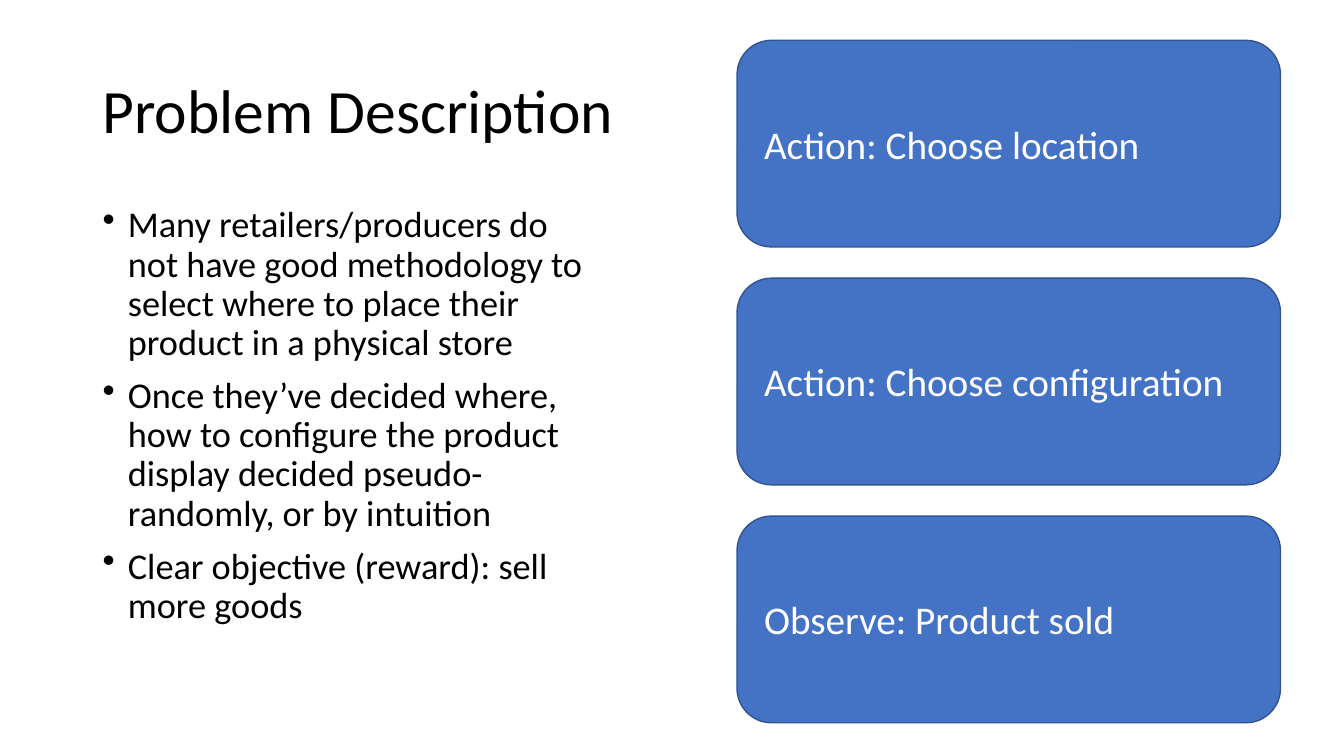
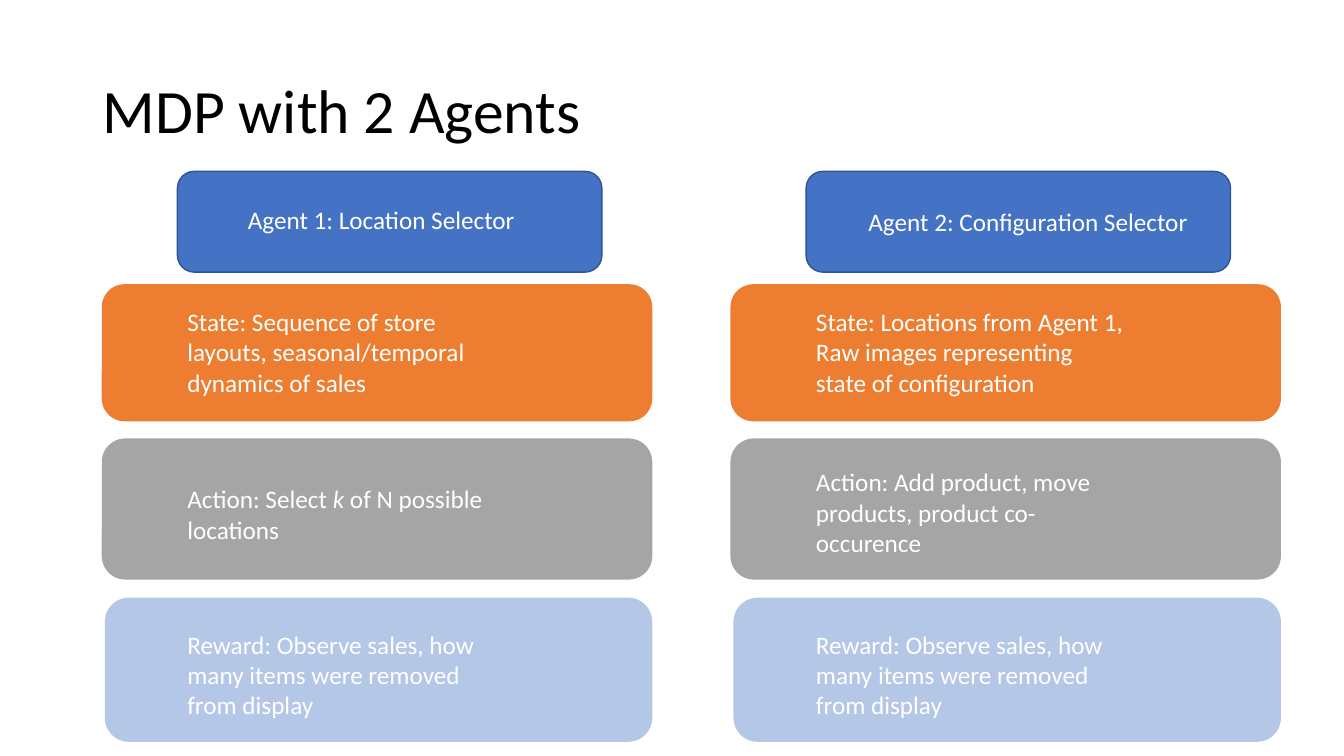
import dataclasses

import pptx
import pptx.dml.color
import pptx.enum.shapes
import pptx.enum.text
import pptx.oxml
import pptx.oxml.ns
import pptx.util

Inches = pptx.util.Inches
Pt = pptx.util.Pt


@dataclasses.dataclass(frozen=True)
class Theme:
    font: str = "Calibri"
    ink: str = "000000"
    white: str = "FFFFFF"
    blue: str = "4472C4"
    blue_edge: str = "325491"
    orange: str = "ED7D31"
    gray: str = "A5A5A5"
    pale_blue: str = "B4C7E7"
    title_size: float = 44
    step_size: float = 28
    bullet_size: float = 25.9
    agent_size: float = 18


THEME = Theme()
WIDTH, HEIGHT = 13.33, 7.5
MARGIN = 0.92

PROBLEM_TITLE = "Problem Description"
PROBLEM_POINTS = [
    "Many retailers/producers do not have good methodology to select where to "
    "place their product in a physical store",
    "Once they’ve decided where, how to configure the product display decided "
    "pseudo-randomly, or by intuition",
    "Clear objective (reward): sell more goods",
]
STEPS = ["Action: Choose location", "Action: Choose configuration", "Observe: Product sold"]

AGENTS_TITLE = "MDP with 2 Agents"
REWARD = "Reward: Observe sales, how many items were removed from display"
# A text in a tuple alternates upright and italic runs.
# Each part has its text and the top of that text.
AGENTS = [
    {
        "name": "Agent 1: Location Selector",
        "name_box": (1.35, 1.98, 3.27),
        "parts": [
            ("State: Sequence of store layouts, seasonal/temporal dynamics of sales", 2.99),
            (("Action: Select ", "k ", "of N possible locations"), 4.75),
            (REWARD, 6.19),
        ],
    },
    {
        "name": "Agent 2: Configuration Selector",
        "name_box": (1.27, 2.0, 3.57),
        "parts": [
            ("State: Locations from Agent 1, Raw images representing state of configuration", 2.99),
            ("Action: Add product, move products, product co-occurence", 4.58),
            (REWARD, 6.19),
        ],
    },
]
# Rows shared by both agents: indent, top, height, fill
PART_ROWS = [
    (0, 2.82, 1.36, THEME.orange),
    (0, 4.35, 1.40, THEME.gray),
    (0.03, 5.93, 1.43, THEME.pale_blue),
]
AGENT_LEFT, AGENT_PITCH, AGENT_WIDTH = 1.01, 6.235, 5.46
TEXT_INDENT, PART_TEXT_WIDTH = 0.75, 3.27


def rgb(code):
    return pptx.dml.color.RGBColor.from_string(code)


def add_bullet(paragraph):
    """Give the paragraph a round bullet with a hanging indent."""
    properties = paragraph._p.get_or_add_pPr()
    indent = Inches(0.25)
    properties.set("marL", str(indent))
    properties.set("indent", str(-indent))
    bullet = pptx.oxml.parse_xml(
        f'<a:buChar {pptx.oxml.ns.nsdecls("a")} char="•"/>'
    )
    properties.append(bullet)


def add_text(slide, paragraphs, left, top, width, height, *, size,
             color=THEME.white, middle=False, bullets=False,
             line_spacing=None, space_before=0):
    box = slide.shapes.add_textbox(*map(Inches, (left, top, width, height)))
    frame = box.text_frame
    frame.word_wrap = True
    anchors = pptx.enum.text.MSO_ANCHOR
    frame.vertical_anchor = anchors.MIDDLE if middle else anchors.TOP
    for index, content in enumerate(paragraphs):
        paragraph = frame.add_paragraph() if index else frame.paragraphs[0]
        if bullets:
            add_bullet(paragraph)
        if line_spacing:
            paragraph.line_spacing = line_spacing
        if index and space_before:
            paragraph.space_before = Pt(space_before)
        pieces = (content,) if isinstance(content, str) else content
        for position, piece in enumerate(pieces):
            run = paragraph.add_run()
            run.text = piece
            run.font.name = THEME.font
            run.font.size = Pt(size)
            run.font.color.rgb = rgb(color)
            if position % 2:
                run.font.italic = True


def add_card(slide, left, top, width, height, fill, edge=None):
    card = slide.shapes.add_shape(
        pptx.enum.shapes.MSO_SHAPE.ROUNDED_RECTANGLE,
        *map(Inches, (left, top, width, height)),
    )
    card.shadow.inherit = False
    card.fill.solid()
    card.fill.fore_color.rgb = rgb(fill)
    if edge:
        card.line.color.rgb = rgb(edge)
        card.line.width = Pt(1)
    else:
        card.line.fill.background()


def add_titled_slide(deck, title):
    slide = deck.slides.add_slide(deck.slide_layouts[6])
    add_text(slide, [title], MARGIN, 0.4, WIDTH - 2 * MARGIN, 1.45,
             size=THEME.title_size, color=THEME.ink, middle=True, line_spacing=0.9)
    return slide


def build_problem(deck):
    slide = add_titled_slide(deck, PROBLEM_TITLE)
    add_text(slide, PROBLEM_POINTS, MARGIN, 2, 5.06, 4.76,
             size=THEME.bullet_size, color=THEME.ink, bullets=True,
             line_spacing=0.9, space_before=10)
    left, first_top, width, height, gap = 7.31, 0.4, 5.39, 2.05, 0.31
    label_inset, label_height = 0.17, 0.57
    for row, step in enumerate(STEPS):
        top = first_top + row * (height + gap)
        add_card(slide, left, top, width, height, THEME.blue, THEME.blue_edge)
        add_text(slide, [step], left + label_inset, top + (height - label_height) / 2,
                 width - label_inset, label_height, size=THEME.step_size)


def build_agents(deck):
    slide = add_titled_slide(deck, AGENTS_TITLE)
    for column, agent in enumerate(AGENTS):
        left = AGENT_LEFT + column * AGENT_PITCH
        text_left = left + TEXT_INDENT
        add_card(slide, text_left, 1.7, 4.21, 1, THEME.blue, THEME.blue_edge)
        name_indent, name_top, name_width = agent["name_box"]
        add_text(slide, [agent["name"]], left + name_indent, name_top,
                 name_width, 0.4, size=THEME.agent_size)
        for (text, text_top), (indent, top, height, fill) in zip(agent["parts"], PART_ROWS):
            add_card(slide, left + indent, top, AGENT_WIDTH - indent, height, fill)
            add_text(slide, [text], text_left, text_top, PART_TEXT_WIDTH, 1.01,
                     size=THEME.agent_size)


def main():
    deck = pptx.Presentation()
    deck.slide_width, deck.slide_height = Inches(WIDTH), Inches(HEIGHT)
    build_problem(deck)
    build_agents(deck)
    deck.save("out.pptx")


if __name__ == "__main__":
    main()
